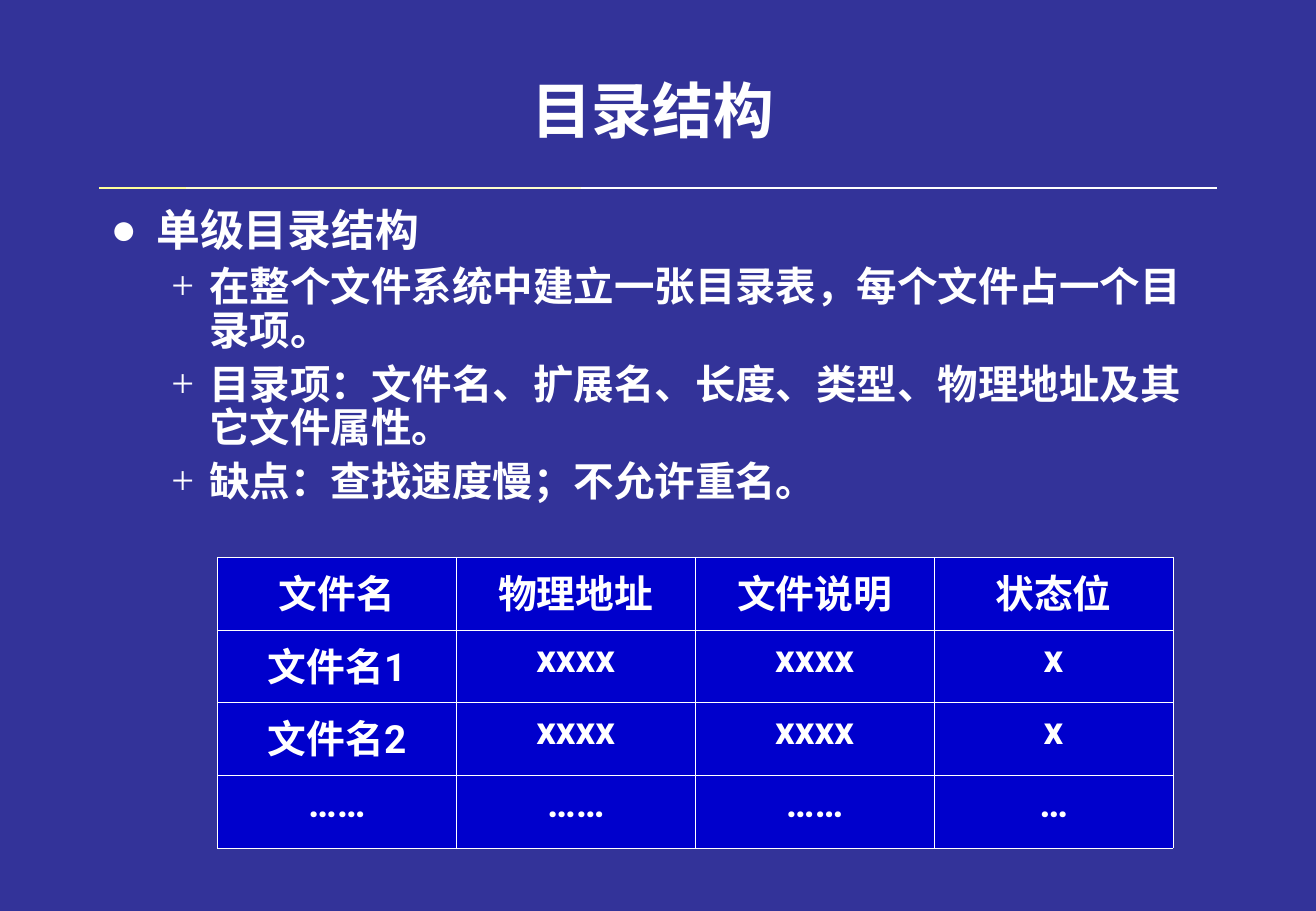
from lxml.etree import SubElement
from pptx import Presentation
from pptx.dml.color import RGBColor
from pptx.enum.shapes import MSO_CONNECTOR as Connector
from pptx.enum.text import MSO_ANCHOR as Anchor, PP_ALIGN as Align
from pptx.oxml.ns import qn
from pptx.util import Pt

WHITE = "FFFFFF"
BULLET_FONT = "Times New Roman"
BULLETS = {0: ("●", 27, 27), 1: ("+", 58.5, 22.5)}


def color(hex_code):
    return RGBColor.from_string(hex_code)


def write(paragraph, text, size=24, font="Roboto", east_asian="Roboto", ink=WHITE,
          bold=True, align=None, before=0, spacing=None, level=None):
    if level is not None:
        mark, margin, hanging = BULLETS[level]
        paragraph.level = level
        properties = paragraph._p.get_or_add_pPr()
        properties.set("marL", str(Pt(margin)))
        properties.set("indent", str(-Pt(hanging)))
        bullet_color = SubElement(properties, qn("a:buClr"))
        SubElement(bullet_color, qn("a:srgbClr"), val=ink)
        SubElement(properties, qn("a:buFont"), typeface=BULLET_FONT)
        SubElement(properties, qn("a:buChar"), char=mark)
    paragraph.alignment = align
    paragraph.space_before = Pt(before)
    paragraph.line_spacing = spacing
    run = paragraph.add_run()
    run.text = text
    run.font.size = Pt(size)
    run.font.bold = bold
    run.font.color.rgb = color(ink)
    run.font.name = font
    if east_asian:
        SubElement(run._r.get_or_add_rPr(), qn("a:ea"), typeface=east_asian)


class DirectorySlide:
    """Holds the slide and its shared style and draws each kind of element."""

    background = "333399"
    cell_fill = "0000CC"
    border_width = 0.45
    rule_width = 0.75

    def __init__(self, presentation):
        self.slide = presentation.slides.add_slide(presentation.slide_layouts[5])
        fill = self.slide.background.fill
        fill.solid()
        fill.fore_color.rgb = color(self.background)

    def title(self, text, left, top, width, height):
        heading = self.slide.shapes.title
        heading.left, heading.top = Pt(left), Pt(top)
        heading.width, heading.height = Pt(width), Pt(height)
        heading.text_frame.vertical_anchor = Anchor.MIDDLE
        write(heading.text_frame.paragraphs[0], text, size=36, align=Align.CENTER)

    def rule(self, start, end, y, ink):
        segment = self.slide.shapes.add_connector(
            Connector.STRAIGHT, Pt(start), Pt(y), Pt(end), Pt(y))
        segment.line.color.rgb = color(ink)
        segment.line.width = Pt(self.rule_width)
        SubElement(segment._element.spPr, qn("a:effectLst"))

    def outline(self, points, left, top, width, height):
        frame = self.slide.shapes.add_textbox(
            Pt(left), Pt(top), Pt(width), Pt(height)).text_frame
        frame.word_wrap = True
        for index, (level, text) in enumerate(points):
            paragraph = frame.add_paragraph() if index else frame.paragraphs[0]
            write(paragraph, text, size=24 if level else 26, level=level,
                  before=6 if index else 0, spacing=0.9)

    def table(self, rows, left, top, width, height):
        grid = self.slide.shapes.add_table(
            len(rows), len(rows[0]), Pt(left), Pt(top), Pt(width), Pt(height)).table
        for row, texts in enumerate(rows):
            for column, text in enumerate(texts):
                self.cell(grid.cell(row, column), text)

    def cell(self, cell, text):
        properties = cell._tc.get_or_add_tcPr()
        for side in ("lnL", "lnR", "lnT", "lnB"):
            border = SubElement(properties, qn(f"a:{side}"),
                                w=str(Pt(self.border_width)))
            SubElement(SubElement(border, qn("a:solidFill")),
                       qn("a:srgbClr"), val=WHITE)
        cell.fill.solid()
        cell.fill.fore_color.rgb = color(self.cell_fill)
        write(cell.text_frame.paragraphs[0], text, size=23, east_asian=None,
              align=Align.CENTER)


def main():
    presentation = Presentation()
    presentation.slide_width, presentation.slide_height = Pt(780.48), Pt(540.12)
    page = DirectorySlide(presentation)

    rule_y, step, first_stop = 111.5, 78, 110.4
    page.rule(58.6, 123.8, rule_y, "FFFF99")
    for index in range(5):
        start = first_stop + index * step
        page.rule(start, start + step, rule_y, "FFFFCC" if index < 3 else WHITE)
    page.rule(first_stop + 5 * step, 539.3, rule_y, WHITE)
    page.rule(539.3, 721.7, rule_y, WHITE)

    page.title("目录结构", 55.6, 41, 663, 47.5)
    page.outline([
        (0, "单级目录结构"),
        (1, "在整个文件系统中建立一张目录表，每个文件占一个目录项。"),
        (1, "目录项：文件名、扩展名、长度、类型、物理地址及其它文件属性。"),
        (1, "缺点：查找速度慢；不允许重名。"),
    ], 58.6, 120.4, 663, 198)
    page.table([
        ["文件名", "物理地址", "文件说明", "状态位"],
        ["文件名1", "xxxx", "xxxx", "x"],
        ["文件名2", "xxxx", "xxxx", "x"],
        ["……", "……", "……", "…"],
    ], 129, 330.5, 566.8, 172.4)
    presentation.save("out.pptx")


if __name__ == "__main__":
    main()
